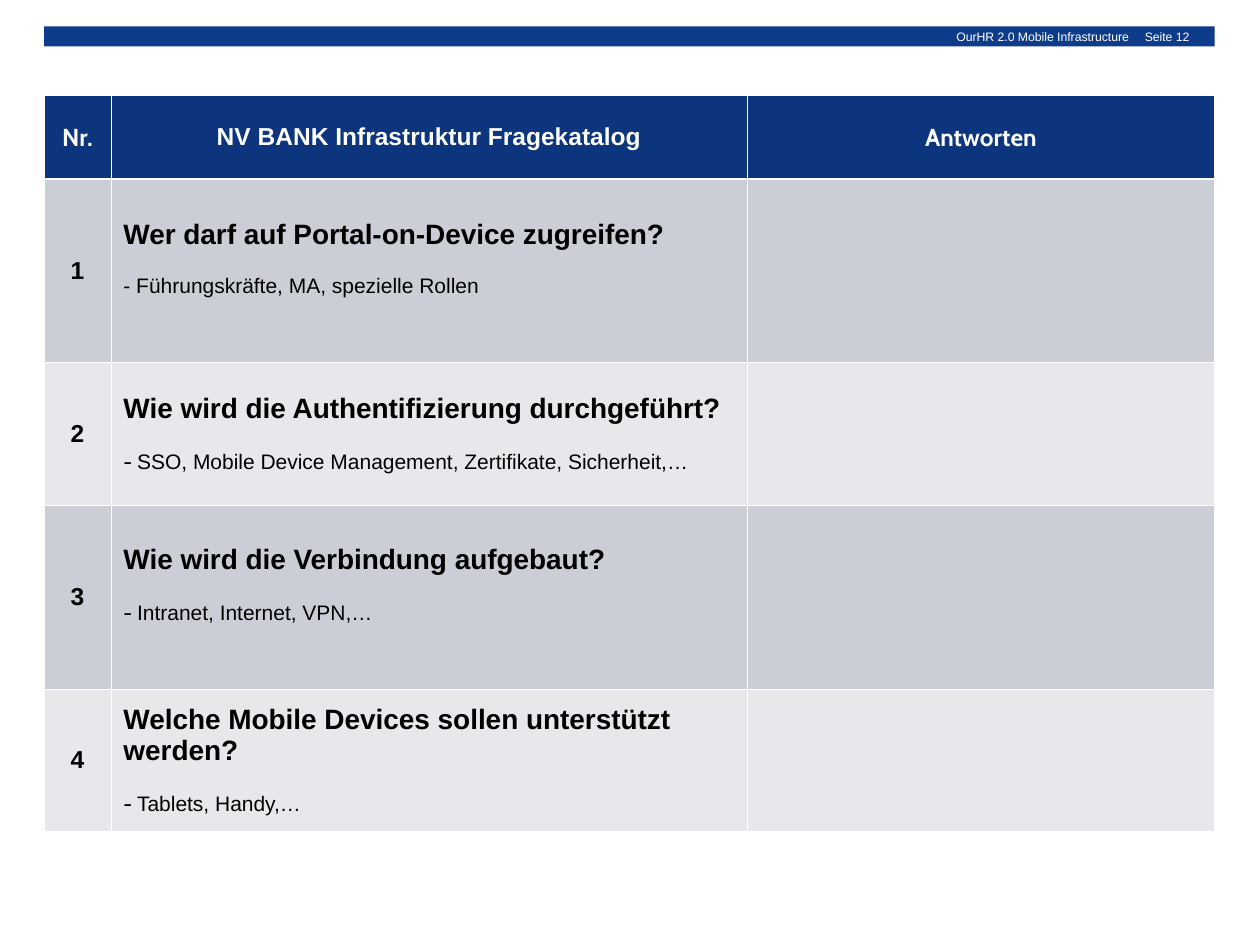
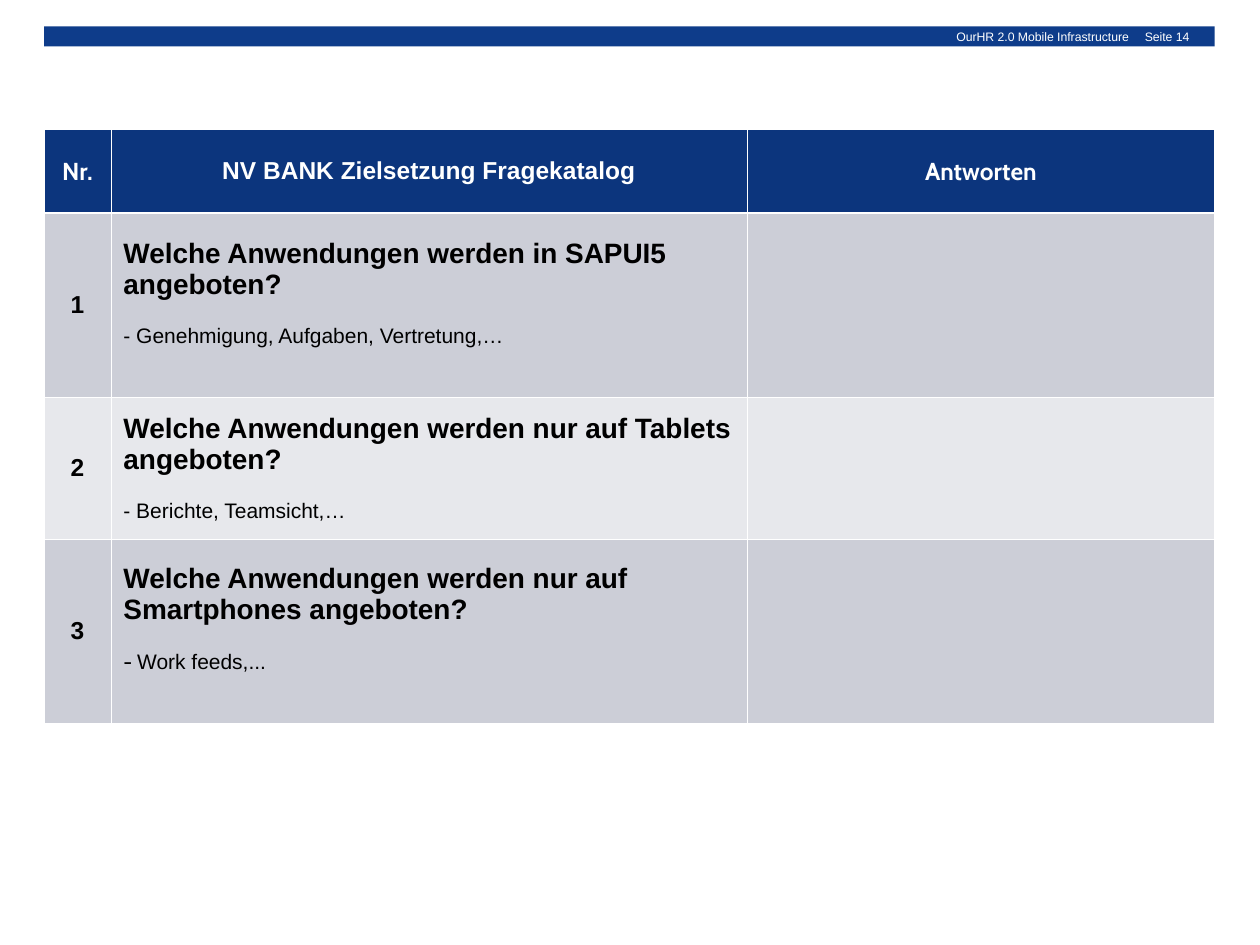
from dataclasses import dataclass
from itertools import accumulate
from typing import NamedTuple

from lxml.etree import SubElement
from pptx import Presentation
from pptx.dml.color import RGBColor as Color
from pptx.enum.shapes import MSO_SHAPE as Preset
from pptx.enum.text import MSO_ANCHOR as Anchor, PP_ALIGN as Align
from pptx.oxml.ns import qn
from pptx.util import Emu, Inches, Pt


@dataclass(frozen=True)
class Theme:
    """Colours, fonts and type sizes shared by all slides."""

    band: str = "0E3C8A"
    header: str = "0C357D"
    odd_row: str = "CCCED7"
    even_row: str = "E7E8EC"
    white: str = "FFFFFF"
    black: str = "000000"
    body_font: str = "Arial"
    accent_font: str = "Cabin"
    band_size: float = 7
    label_size: float = 14
    question_size: float = 16
    hint_size: float = 12
    hint_gap: float = 13.8
    thin_rule: float = 0.45
    thick_rule: float = 1.47


class Area(NamedTuple):
    """A rectangle in grid columns and rows."""

    left: float
    top: float
    width: float
    height: float


class Style(NamedTuple):
    """The look of one run of text."""

    size: float
    color: str
    bold: bool = False
    font: str = "Arial"


class Question(NamedTuple):
    """A question and the examples that go with it."""

    title: str
    hint: str
    dash_font: str = "Cabin"


class Catalog(NamedTuple):
    """One slide with a numbered list of questions."""

    number: int
    title: str
    top: float
    questions: tuple[Question, ...]


THEME = Theme()
GRID_COLUMNS, GRID_ROWS = 200, 150
SLIDE_WIDTH, SLIDE_HEIGHT = Inches(10), Inches(7.5)
BAND = Area(7, 4.2, 185.8, 3.2)
BAND_LABEL = Area(7, 4.2, 172.2, 3.2)
BAND_INSET = 4
COLUMN_WIDTHS = (10.6, 101, 74.2)
HEADER_HEIGHT, TALL_ROW, SHORT_ROW = 13.2, 29.2, 22.6
CELL_SIDE, CELL_EDGE = 2, 1

BAND_STYLE = Style(THEME.band_size, THEME.white)
HEADER_STYLE = Style(THEME.label_size, THEME.white, True)
HEADER_ACCENT = HEADER_STYLE._replace(font=THEME.accent_font)
NUMBER_STYLE = Style(THEME.label_size, THEME.black, True)
QUESTION_STYLE = Style(THEME.question_size, THEME.black, True)
HINT_STYLE = Style(THEME.hint_size, THEME.black)

CATALOGS = (
    Catalog(12, "NV BANK Infrastruktur Fragekatalog", 15.2, (
        Question("Wer darf auf Portal-on-Device zugreifen?",
                 "Führungskräfte, MA, spezielle Rollen", THEME.body_font),
        Question("Wie wird die Authentifizierung durchgeführt?",
                 "SSO, Mobile Device Management, Zertifikate, Sicherheit,…"),
        Question("Wie wird die Verbindung aufgebaut?", "Intranet, Internet, VPN,…"),
        Question("Welche Mobile Devices sollen unterstützt werden?", "Tablets, Handy,…"),
    )),
    Catalog(14, "NV BANK Zielsetzung Fragekatalog", 20.6, (
        Question("Welche Anwendungen werden in SAPUI5 angeboten?",
                 "Genehmigung, Aufgaben, Vertretung,…", THEME.body_font),
        Question("Welche Anwendungen werden nur auf Tablets angeboten?",
                 "Berichte, Teamsicht,…", THEME.body_font),
        Question("Welche Anwendungen werden nur auf Smartphones angeboten?",
                 "Work feeds,..."),
    )),
)


def across(columns: float) -> Emu:
    """Turn grid columns into a length."""
    return Emu(round(SLIDE_WIDTH * columns / GRID_COLUMNS))


def down(rows: float) -> Emu:
    """Turn grid rows into a length."""
    return Emu(round(SLIDE_HEIGHT * rows / GRID_ROWS))


def place(area: Area) -> tuple[Emu, Emu, Emu, Emu]:
    """Turn a grid area into left, top, width and height."""
    return across(area.left), down(area.top), across(area.width), down(area.height)


def add_span(para, text: str, style: Style) -> None:
    """Append one styled run to a paragraph."""
    span = para.add_run()
    span.text = text
    span.font.name = style.font
    span.font.size = Pt(style.size)
    span.font.bold = style.bold
    span.font.color.rgb = Color.from_string(style.color)


def write_band(box, text: str, inset: float) -> None:
    """Write right-aligned band text into a box."""
    frame = box.text_frame
    frame.word_wrap = True
    frame.vertical_anchor = Anchor.MIDDLE
    frame.margin_left = frame.margin_right = across(inset)
    frame.margin_top = frame.margin_bottom = 0
    para = frame.paragraphs[0]
    para.alignment = Align.RIGHT
    add_span(para, text, BAND_STYLE)


def draw_band(page, number: int) -> None:
    """Draw the top band with the project name and the page number."""
    band = page.shapes.add_shape(Preset.RECTANGLE, *place(BAND))
    band.shadow.inherit = False
    band.fill.solid()
    band.fill.fore_color.rgb = Color.from_string(THEME.band)
    band.line.fill.background()
    write_band(band, f"Seite {number}", BAND_INSET)
    label = page.shapes.add_textbox(*place(BAND_LABEL))
    write_band(label, "OurHR 2.0 Mobile Infrastructure", 0)


def format_cell(cell, fill: str, top_rule: float, bottom_rule: float) -> None:
    """Set the borders, fill, margins and anchor of a cell."""
    rules = {"lnL": THEME.thin_rule, "lnR": THEME.thin_rule,
             "lnT": top_rule, "lnB": bottom_rule}
    properties = cell._tc.get_or_add_tcPr()
    for side, width in rules.items():
        rule = SubElement(properties, qn(f"a:{side}"), w=str(Pt(width)))
        paint = SubElement(rule, qn("a:solidFill"))
        SubElement(paint, qn("a:srgbClr"), val=THEME.white)
    cell.fill.solid()
    cell.fill.fore_color.rgb = Color.from_string(fill)
    cell.vertical_anchor = Anchor.MIDDLE
    cell.margin_left = cell.margin_right = across(CELL_SIDE)
    cell.margin_top = cell.margin_bottom = down(CELL_EDGE)


def write_centered(cell, text: str, style: Style) -> None:
    """Write one centred line into a cell."""
    para = cell.text_frame.paragraphs[0]
    para.alignment = Align.CENTER
    add_span(para, text, style)


def write_question(cell, question: Question, tall: bool) -> None:
    """Write a question with its hint, raised a little in tall rows."""
    frame = cell.text_frame
    add_span(frame.paragraphs[0], question.title, QUESTION_STYLE)
    hint = frame.add_paragraph()
    hint.space_before = Pt(THEME.hint_gap)
    add_span(hint, "- ", HINT_STYLE._replace(font=question.dash_font))
    add_span(hint, question.hint, HINT_STYLE)
    if tall:
        cell.margin_bottom = Emu(down(CELL_EDGE) + Pt(THEME.hint_gap))


def draw_catalog(page, catalog: Catalog) -> None:
    """Draw the table of questions and open answers."""
    tall_rows = [index % 2 == 0 for index in range(len(catalog.questions))]
    heights = [HEADER_HEIGHT, *(TALL_ROW if tall else SHORT_ROW for tall in tall_rows)]
    *_, total = accumulate(heights)
    area = Area(BAND.left, catalog.top, BAND.width, total)
    table = page.shapes.add_table(len(heights), len(COLUMN_WIDTHS), *place(area)).table
    table.first_row = table.horz_banding = False
    for column, width in zip(table.columns, COLUMN_WIDTHS):
        column.width = across(width)
    for row, height in zip(table.rows, heights):
        row.height = down(height)

    headings = (("Nr.", HEADER_ACCENT), (catalog.title, HEADER_STYLE),
                ("Antworten", HEADER_ACCENT))
    for cell, (text, style) in zip(table.rows[0].cells, headings):
        format_cell(cell, THEME.header, THEME.thin_rule, THEME.thick_rule)
        write_centered(cell, text, style)

    for index, (question, tall) in enumerate(zip(catalog.questions, tall_rows), 1):
        cells = list(table.rows[index].cells)
        for cell in cells:
            format_cell(cell, THEME.odd_row if tall else THEME.even_row,
                        THEME.thick_rule if index == 1 else THEME.thin_rule,
                        THEME.thin_rule)
        write_centered(cells[0], str(index), NUMBER_STYLE)
        write_question(cells[1], question, tall)


def main() -> None:
    """Build the deck and save it."""
    deck = Presentation()
    deck.slide_width, deck.slide_height = SLIDE_WIDTH, SLIDE_HEIGHT
    for catalog in CATALOGS:
        page = deck.slides.add_slide(deck.slide_layouts[6])
        draw_band(page, catalog.number)
        draw_catalog(page, catalog)
    deck.save("out.pptx")


if __name__ == "__main__":
    main()
